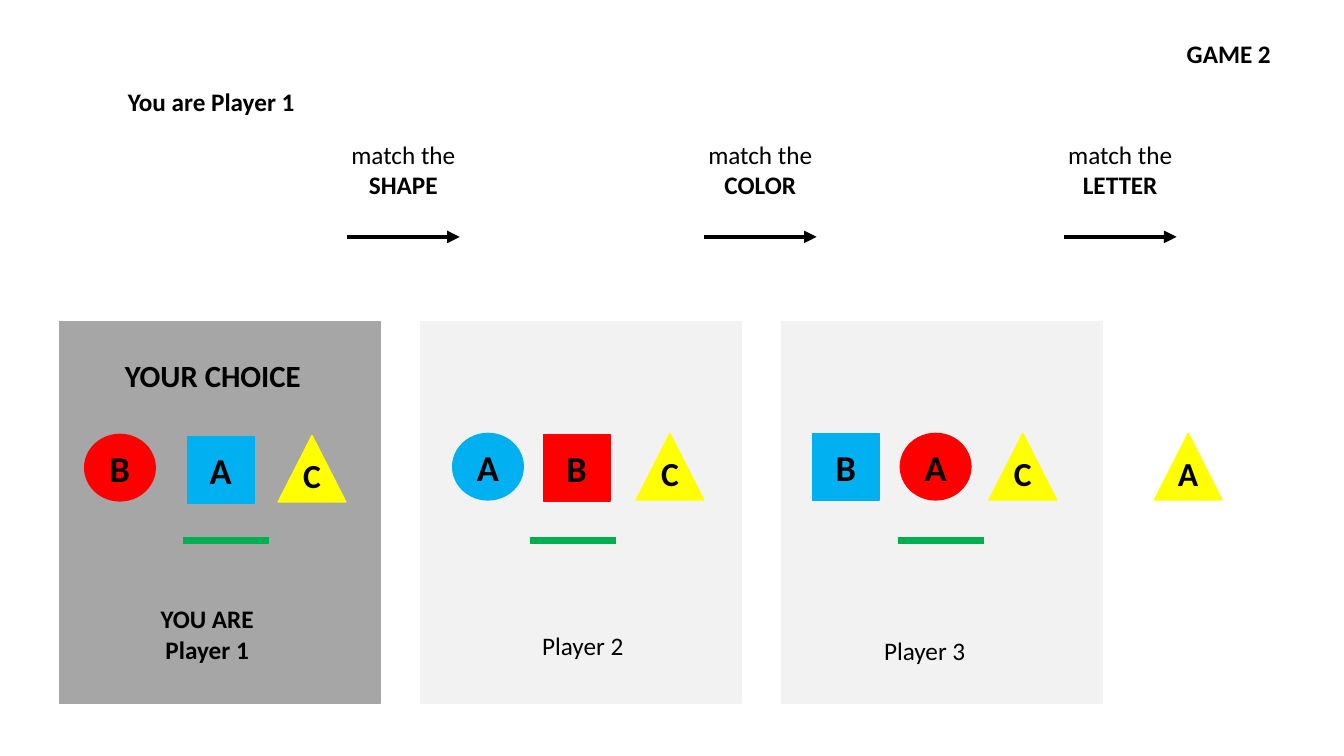
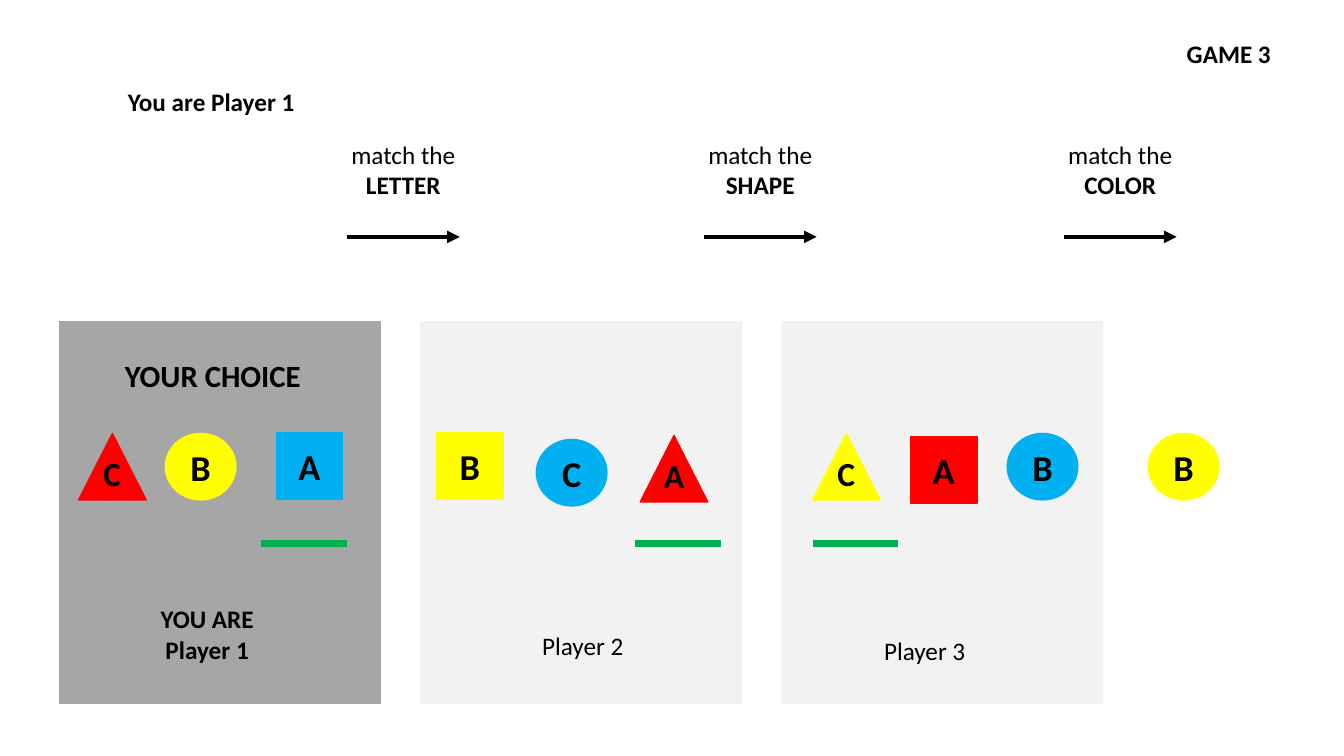
from collections import namedtuple

from lxml import etree
from pptx import Presentation
from pptx import util as u
from pptx.dml.color import RGBColor
from pptx.enum import shapes, text
from pptx.oxml.ns import qn

# Shared look
FONT, BLACK = "Calibri", "000000"
RED, BLUE, YELLOW, GREEN = "FF0000", "00B0F0", "FFFF00", "00B050"
PANEL_FILLS = ["A6A6A6", "F2F2F2", "F2F2F2"]
LEFT, CENTER = text.PP_ALIGN.LEFT, text.PP_ALIGN.CENTER

# Grid, in inches: three player columns and a fourth for the result
COL_LEFT, COL_PITCH = 0.59, 3.58
PANEL_TOP, PANEL_W, PANEL_H = 3.19, 3.18, 3.79
TOKEN_TOP = 4.3
RULE_CENTERS = [4.0, 7.54, 11.11]
RULE_W, RULE_H, RULE_TOP = 1.25, 0.71, 1.33
ARROW_W, ARROW_Y = 1.12, 2.35
MARK_W = 0.85

# Token kinds: preset shape, width, letter size, space below the letter
Kind = namedtuple("Kind", "preset width size below")
TRIANGLE = Kind(shapes.MSO_SHAPE.ISOSCELES_TRIANGLE, 0.67, 24, 0.2)
CIRCLE = Kind(shapes.MSO_SHAPE.OVAL, 0.7, 26, 0)
SQUARE = Kind(shapes.MSO_SHAPE.RECTANGLE, 0.66, 26, 0)
TOKEN_H = 0.66

# Token offsets run from the column's left edge and the token row;
# marks are offsets of the green underline in each player's column
Token = namedtuple("Token", "kind color letter dx dy")
Game = namedtuple("Game", "title rules columns marks mark_y")
GAMES = [
    Game("GAME 2", ["SHAPE", "COLOR", "LETTER"], [
        [Token(CIRCLE, RED, "B", 0.25, 0.01),
         Token(SQUARE, BLUE, "A", 1.27, 0.03),
         Token(TRIANGLE, YELLOW, "C", 2.17, 0.02)],
        [Token(CIRCLE, BLUE, "A", 0.32, 0),
         Token(SQUARE, RED, "B", 1.22, 0.01),
         Token(TRIANGLE, YELLOW, "C", 2.14, 0)],
        [Token(SQUARE, BLUE, "B", 0.31, 0),
         Token(CIRCLE, RED, "A", 1.18, 0),
         Token(TRIANGLE, YELLOW, "C", 2.06, 0)],
        [Token(TRIANGLE, YELLOW, "A", 0.12, 0)],
    ], [1.23, 1.09, 1.16], 5.36),
    Game("GAME 3", ["LETTER", "SHAPE", "COLOR"], [
        [Token(TRIANGLE, RED, "C", 0.19, 0),
         Token(CIRCLE, YELLOW, "B", 1.05, 0),
         Token(SQUARE, BLUE, "A", 2.15, -0.01)],
        [Token(SQUARE, YELLOW, "B", 0.16, -0.01),
         Token(CIRCLE, BLUE, "C", 1.15, 0.06),
         Token(TRIANGLE, RED, "A", 2.18, 0.02)],
        [Token(TRIANGLE, YELLOW, "C", 0.31, 0),
         Token(SQUARE, RED, "A", 1.28, 0.03),
         Token(CIRCLE, BLUE, "B", 2.24, 0)],
        [Token(CIRCLE, YELLOW, "B", 0.06, 0)],
    ], [2.0, 2.13, 0.31], 5.39),
]


def rgb(color):
    return RGBColor.from_string(color)


def column(i):
    return COL_LEFT + i * COL_PITCH


def write(sp, lines, size=18, bold=(True,), align=LEFT):
    """Fill a shape with one paragraph per line; bold holds a flag per line."""
    tf = sp.text_frame
    tf.text = "\n".join(lines)
    for p, b in zip(tf.paragraphs, bold):
        p.alignment = align
        for r in p.runs:
            r.font.name, r.font.size, r.font.bold = FONT, u.Pt(size), b
            r.font.color.rgb = rgb(BLACK)
    return tf


def label(s, lines, x, y, w, h, **style):
    sp = s.shapes.add_textbox(*map(u.Inches, (x, y, w, h)))
    tf = write(sp, lines, **style)
    tf.word_wrap = False
    tf.auto_size = text.MSO_AUTO_SIZE.SHAPE_TO_FIT_TEXT


def title(s, words):
    sp = s.shapes.title
    sp.left, sp.top, sp.width, sp.height = map(u.Inches, (11.67, 0.33, 1.05, 0.4))
    tf = write(sp, [words])
    tf.word_wrap = False
    tf.auto_size = text.MSO_AUTO_SIZE.NONE
    tf.vertical_anchor = text.MSO_ANCHOR.TOP


def block(s, preset, color, x, y, w, h):
    sp = s.shapes.add_shape(preset, *map(u.Inches, (x, y, w, h)))
    sp.shadow.inherit = False
    sp.fill.solid()
    sp.fill.fore_color.rgb = sp.line.color.rgb = rgb(color)
    sp.line.width = u.Pt(1)
    return sp


def token(s, t, x):
    k = t.kind
    sp = block(s, k.preset, t.color, x + t.dx, TOKEN_TOP + t.dy, k.width, TOKEN_H)
    tf = write(sp, [t.letter], size=k.size, align=CENTER)
    tf.vertical_anchor = text.MSO_ANCHOR.MIDDLE
    tf.margin_left = tf.margin_right = tf.margin_top = 0
    tf.margin_bottom = u.Inches(k.below)


def line(s, x, y, w, color, weight, arrow=False):
    cx = s.shapes.add_connector(shapes.MSO_CONNECTOR.STRAIGHT,
                                *map(u.Inches, (x, y, x + w, y)))
    cx.line.color.rgb = rgb(color)
    cx.line.width = u.Pt(weight)
    if arrow:
        etree.SubElement(cx.line._get_or_add_ln(), qn("a:tailEnd"), type="triangle")
    etree.SubElement(cx._element.spPr, qn("a:effectLst"))


def build_game(prs, game):
    s = prs.slides.add_slide(prs.slide_layouts[5])
    title(s, game.title)

    # Matching rules with their arrows
    for mid, rule in zip(RULE_CENTERS, game.rules):
        label(s, ["match the", rule], mid - RULE_W / 2, RULE_TOP, RULE_W, RULE_H,
              bold=(False, True), align=CENTER)
        line(s, mid - ARROW_W / 2, ARROW_Y, ARROW_W, BLACK, 3, arrow=True)

    # Player panels, tokens and choice marks
    for i, fill in enumerate(PANEL_FILLS):
        block(s, shapes.MSO_SHAPE.RECTANGLE, fill,
              column(i), PANEL_TOP, PANEL_W, PANEL_H)
    for i, tokens in enumerate(game.columns):
        for t in tokens:
            token(s, t, column(i))
    for i, dx in enumerate(game.marks):
        line(s, column(i) + dx, game.mark_y, MARK_W, GREEN, 5)

    # Player labels
    label(s, ["You are Player 1"], 1.17, 0.81, 1.87, 0.4)
    label(s, ["YOUR CHOICE"], 1.14, 3.49, 2.08, 0.47, size=22)
    label(s, ["YOU ARE", "Player 1"], 1.49, 5.94, 1.13, 0.71,
          bold=(True, True), align=CENTER)
    label(s, ["Player 2"], 5.26, 6.2, 1.04, 0.4, bold=(False,), align=CENTER)
    label(s, ["Player 3"], 8.67, 6.25, 1.23, 0.49, bold=(False,))


def main():
    prs = Presentation()
    prs.slide_width, prs.slide_height = u.Inches(13.33), u.Inches(7.5)
    for game in GAMES:
        build_game(prs, game)
    prs.save("out.pptx")


if __name__ == "__main__":
    main()
